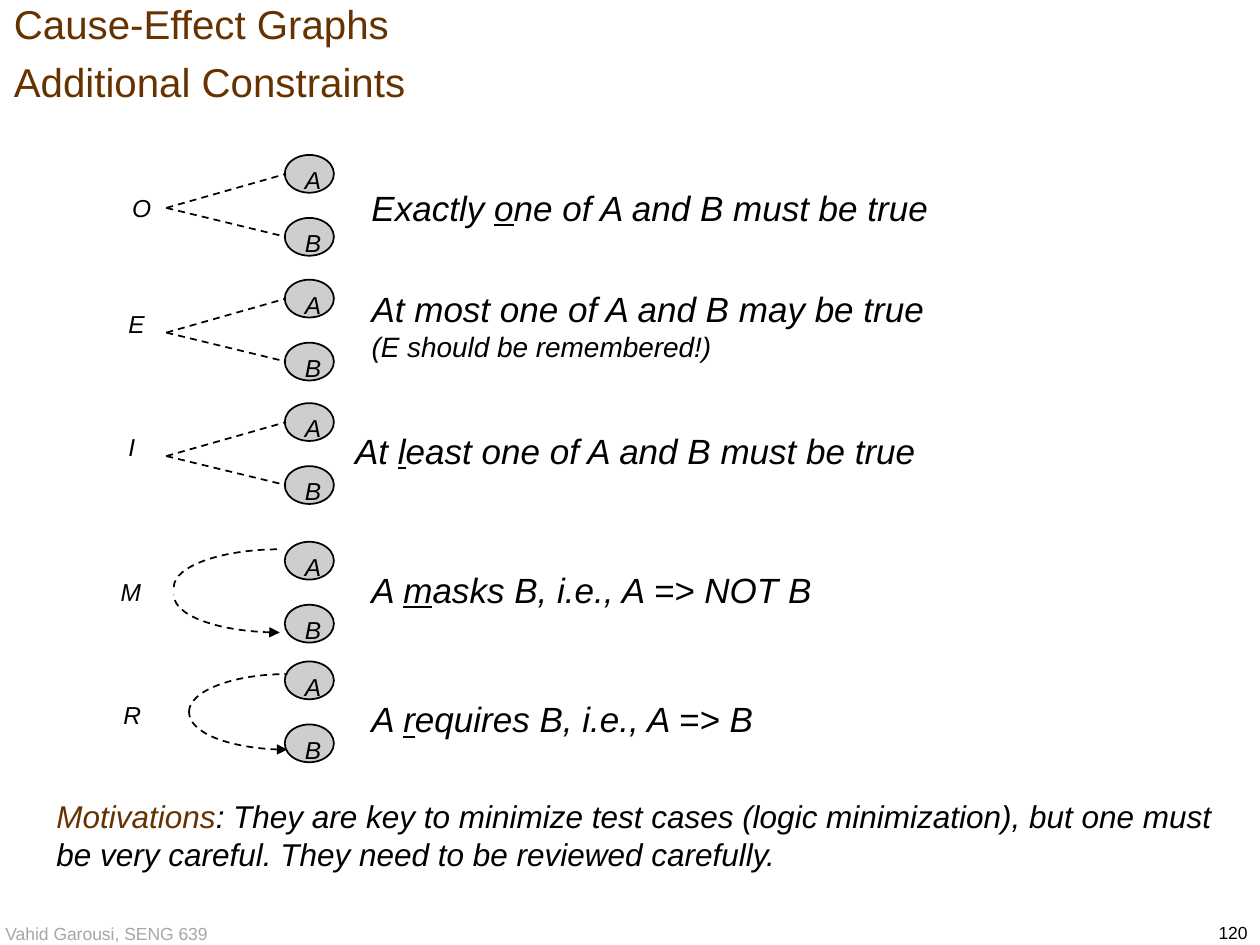
from lxml import etree
from pptx import Presentation
from pptx.dml import color
from pptx.enum import dml, shapes, text
from pptx.oxml import ns
from pptx.util import Inches, Pt

BLACK, BROWN, GREY, NODE_FILL = "000000", "663300", "A6A6A6", "CECECE"
NODE_LEFT, NODE_WIDTH, NODE_HEIGHT, NODE_STEP = 2.26, 0.39, 0.3, 0.5
CURVE = 0.55  # Bezier handle length for a quarter ellipse


def rgb(value):
    return color.RGBColor.from_string(value)


def write(frame, paragraphs, size=14, colour=BLACK, italic=True, align="LEFT",
          anchor="TOP", insets=(0.1, 0.05), wrap=True, spacing=None):
    """Fill a frame; each paragraph is a list of (text, run format) pairs."""
    frame.word_wrap = wrap
    frame.auto_size = text.MSO_AUTO_SIZE.NONE
    frame.vertical_anchor = text.MSO_ANCHOR[anchor]
    frame.margin_left = frame.margin_right = Inches(insets[0])
    frame.margin_top = frame.margin_bottom = Inches(insets[1])
    for index, runs in enumerate(paragraphs):
        paragraph = frame.add_paragraph() if index else frame.paragraphs[0]
        paragraph.alignment = text.PP_ALIGN[align]
        if spacing:
            paragraph.line_spacing = spacing
        for words, style in runs:
            points = style.get("size", size)
            if style.get("new_line"):
                paragraph.add_line_break()
                line_break = paragraph._p.findall(ns.qn("a:br"))[-1]
                etree.SubElement(line_break, ns.qn("a:rPr"), sz=str(points * 100))
            run = paragraph.add_run()
            run.text = words
            run.font.name = "Arial"
            run.font.size = Pt(points)
            run.font.italic = italic
            run.font.underline = style.get("underline")
            run.font.color.rgb = rgb(style.get("colour", colour))


def add_text(parent, box, paragraphs, **style):
    shape = parent.add_textbox(*map(Inches, box))
    write(shape.text_frame, paragraphs, **style)


def outline(shape, dashed=False):
    shape.line.color.rgb = rgb(BLACK)
    shape.line.width = Pt(1)
    if dashed:
        shape.line.dash_style = dml.MSO_LINE.DASH


def add_node(parent, name, top):
    node = parent.add_shape(shapes.MSO_SHAPE.OVAL, *map(
        Inches, (NODE_LEFT, top, NODE_WIDTH, NODE_HEIGHT)))
    node.shadow.inherit = False
    node.fill.solid()
    node.fill.fore_color.rgb = rgb(NODE_FILL)
    outline(node)
    add_text(parent, (NODE_LEFT + 0.11, top + 0.05, 0.24, 0.28), [[(name, {})]],
             insets=(0.05, 0.03), wrap=False)


def add_fork(parent, top):
    """Two dashed lines from one point to the nodes."""
    for offset in (0.15, 0.65):
        line = parent.add_connector(shapes.MSO_CONNECTOR.STRAIGHT, *map(
            Inches, (1.32, top + 0.42, 2.27, top + offset)))
        outline(line, dashed=True)
        etree.SubElement(line._element.spPr, ns.qn("a:effectLst"))


def add_quarter(parent, box, lower):
    """Dashed left quarter of an ellipse; the lower one ends in an arrow."""
    left, top, width, height = map(Inches, box)
    if lower:
        start, end = (width, height), (0, 0)
        handles = ((1 - CURVE) * width, height), (0, CURVE * height)
    else:
        start, end = (0, height), (width, 0)
        handles = (0, (1 - CURVE) * height), ((1 - CURVE) * width, 0)
    builder = parent.build_freeform(left + start[0], top + start[1])
    builder.add_line_segments([(left + end[0], top + end[1])], close=False)
    shape = builder.convert_to_shape()
    shape.shadow.inherit = False
    shape.fill.background()
    outline(shape, dashed=True)
    # Turn the straight segment into a curve
    segment = shape._element.find(".//" + ns.qn("a:lnTo"))
    curve = etree.Element(ns.qn("a:cubicBezTo"))
    for x, y in (*handles, end):
        etree.SubElement(curve, ns.qn("a:pt"), x=str(round(x)), y=str(round(y)))
    segment.getparent().replace(segment, curve)
    if lower:
        etree.SubElement(shape.line._get_or_add_ln(), ns.qn("a:headEnd"), type="triangle")


def add_constraint(slide, top, letter, label, meaning_box, meaning, arcs=None):
    """One row: letter, marks and nodes in a group, then the meaning."""
    group = slide.shapes.add_group_shape().shapes
    for index, name in enumerate("AB"):
        add_node(group, name, top + index * NODE_STEP)
    if arcs:
        left, width, *offsets = arcs
        for lower, offset in enumerate(offsets):
            add_quarter(group, (left, top + offset, width, 0.3), lower)
    else:
        add_fork(group, top)
    add_text(group, (label[0], top + label[1], 0.35, 0.33), [[(letter, {})]], wrap=False)
    left, offset, width, height = meaning_box
    add_text(slide.shapes, (left, top + offset, width, height), meaning, size=20)


def underlined(before, letter, after):
    return [[(before, {}), (letter, {"underline": True}), (after, {})]]


def add_title(slide, box):
    title = slide.shapes.title
    title.left, title.top, title.width, title.height = map(Inches, box)
    write(title.text_frame, [[("Cause-Effect Graphs", {}),
                              ("Additional Constraints", {"new_line": True})]],
          size=23, colour=BROWN, italic=False, anchor="MIDDLE", spacing=1.2)


def add_footer(slide):
    add_text(slide.shapes, (8.75, 7.27, 1.25, 0.27), [[("120", {})]],
             size=10, italic=False, align="RIGHT")
    add_text(slide.shapes, (-0.12, 7.25, 1.93, 0.32), [[("Vahid Garousi, SENG 639", {})]],
             size=10, colour=GREY, italic=False, align="CENTER", anchor="MIDDLE")


def main():
    presentation = Presentation()
    presentation.slide_width, presentation.slide_height = Inches(10), Inches(7.5)
    slide = presentation.slides.add_slide(presentation.slide_layouts[5])
    add_footer(slide)
    add_title(slide, (0.01, 0.01, 9.99, 0.74))

    # Constraints: top, letter, letter offset, meaning box, meaning, arcs
    constraints = [
        (1.23, "O", (0.95, 0.25), (2.85, 0.2, 4.74, 0.43),
         underlined("Exactly ", "o", "ne of A and B must be true")),
        (2.22, "E", (0.92, 0.18), (2.85, 0.01, 5.82, 0.7),
         [[("At most one of A and B may be true", {})],
          [("(E should be remembered!)", {"size": 16})]]),
        (3.2, "I", (0.92, 0.18), (2.72, 0.16, 5.14, 0.43),
         underlined("At ", "l", "east one of A and B must be true")),
        (4.3, "M", (0.86, 0.23), (2.85, 0.16, 3.73, 0.43),
         underlined("A ", "m", "asks B, i.e., A => NOT B"), (1.38, 0.84, 0.06, 0.42)),
        (5.25, "R", (0.88, 0.26), (2.85, 0.24, 3.27, 0.43),
         underlined("A ", "r", "equires B, i.e., A => B"), (1.5, 0.78, 0.1, 0.4)),
    ]
    for constraint in constraints:
        add_constraint(slide, *constraint)

    # Motivation
    add_text(slide.shapes, (0.35, 6.28, 9.37, 0.7), [[
        ("Motivations", {"colour": BROWN}),
        (": They are key to minimize test cases (logic minimization), but one must "
         "be very careful. They need to be reviewed carefully.", {})]], size=18)
    presentation.save("out.pptx")


if __name__ == "__main__":
    main()
